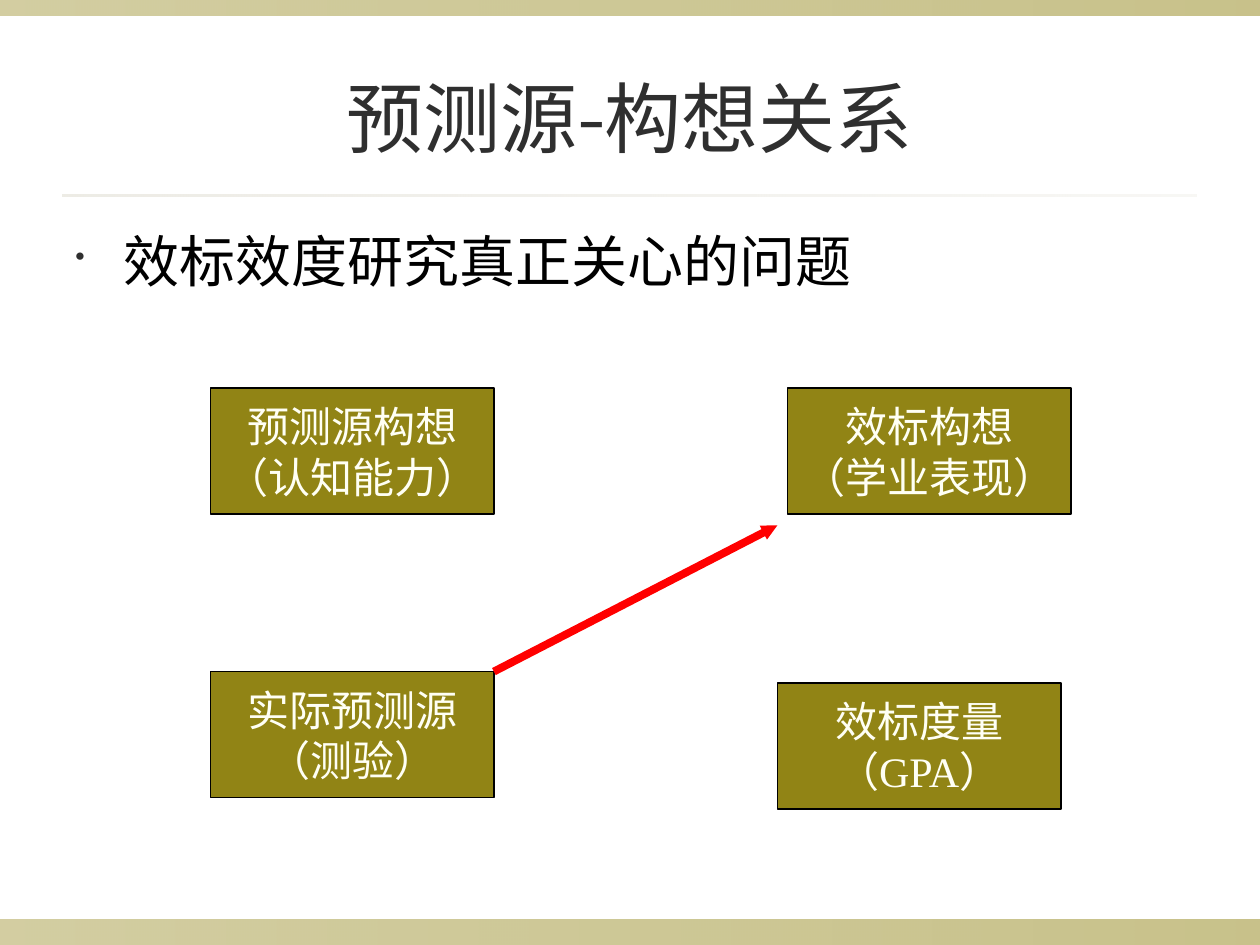
from lxml import etree
from pptx import Presentation, util as u
from pptx.dml.color import RGBColor
from pptx.enum import shapes, text
from pptx.oxml.ns import qn

Inches, Pt = u.Inches, u.Pt


def color(value):
    return RGBColor.from_string(value)


def add_run(paragraph, content, size, font, value):
    run = paragraph.add_run()
    run.text = content
    run.font.size = Pt(size)
    run.font.name = font
    run.font.color.rgb = color(value)


presentation = Presentation()
presentation.slide_width, presentation.slide_height = Inches(10), Inches(7.5)
slide = presentation.slides.add_slide(presentation.slide_layouts[6])

# Translucent bands at the edges and the rule under the title
bands = [
    (0, 7.3, 10, 0.2, "918415", (40, 50)),
    (0, 0, 10, 0.12, "918415", (40, 50)),
    (0.5, 1.54, 9, 0.02, "DCD9CC", (50, 20)),
]
for left, top, width, height, value, opacities in bands:
    band = slide.shapes.add_shape(shapes.MSO_SHAPE.RECTANGLE, Inches(left),
                                  Inches(top), Inches(width), Inches(height))
    band.shadow.inherit = False
    band.line.fill.background()
    band.fill.gradient()
    band.fill.gradient_angle = 0
    for stop, position in zip(band.fill.gradient_stops, (0, 1)):
        stop.position = position
        stop.color.rgb = color(value)
    for element, opacity in zip(band._element.spPr.iter(qn("a:srgbClr")), opacities):
        etree.SubElement(element, qn("a:alpha"), val=str(opacity * 1000))

# Title
title = slide.shapes.add_textbox(Inches(0.5), Inches(0.3), Inches(9), Inches(1.25))
title.text_frame.word_wrap = True
title.text_frame.vertical_anchor = text.MSO_ANCHOR.MIDDLE
paragraph = title.text_frame.paragraphs[0]
paragraph.alignment = text.PP_ALIGN.CENTER
add_run(paragraph, "预测源-构想关系", 44, "Karla", "2F2F2F")

# Bulleted statement
body = slide.shapes.add_textbox(Inches(0.5), Inches(1.75), Inches(9), Inches(5.13))
body.text_frame.word_wrap = True
paragraph = body.text_frame.paragraphs[0]
properties = paragraph._p.get_or_add_pPr()
properties.set("marL", str(Inches(0.38)))
properties.set("indent", str(-Inches(0.38)))
bullet_color = etree.SubElement(properties, qn("a:buClr"))
etree.SubElement(bullet_color, qn("a:srgbClr"), val="2F2F2F")
etree.SubElement(properties, qn("a:buSzPct"), val="50000")
etree.SubElement(properties, qn("a:buChar"), char="•")
add_run(paragraph, "效标效度研究真正关心的问题", 32, "Karla", "000000")

# Constructs above, their measures below
boxes = [
    (1.67, 3.08, "预测源构想", "（认知能力）"),
    (1.67, 5.33, "实际预测源", "（测验）"),
    (6.17, 5.42, "效标度量", "（GPA）"),
    (6.25, 3.08, "效标构想", "（学业表现）"),
]
for left, top, *lines in boxes:
    box = slide.shapes.add_shape(shapes.MSO_SHAPE.RECTANGLE, Inches(left),
                                 Inches(top), Inches(2.25), Inches(1))
    box.shadow.inherit = False
    box.fill.solid()
    box.fill.fore_color.rgb = color("918415")
    box.line.color.rgb = color("000000")
    box.line.width = Pt(1)
    frame = box.text_frame
    frame.word_wrap = False
    frame.vertical_anchor = text.MSO_ANCHOR.MIDDLE
    for index, line in enumerate(lines):
        paragraph = frame.add_paragraph() if index else frame.paragraphs[0]
        paragraph.alignment = text.PP_ALIGN.CENTER
        add_run(paragraph, line, 24, "Times New Roman", "FFFFF4")

# Arrow from the actual predictor to the criterion construct
arrow = slide.shapes.add_connector(shapes.MSO_CONNECTOR.STRAIGHT, Inches(3.92),
                                   Inches(5.33), Inches(6.17), Inches(4.17))
arrow.line.color.rgb = color("FF0000")
arrow.line.width = Pt(4.5)
etree.SubElement(arrow.line._get_or_add_ln(), qn("a:tailEnd"),
                 type="triangle", w="sm", len="sm")
etree.SubElement(arrow._element.spPr, qn("a:effectLst"))

presentation.save("out.pptx")
